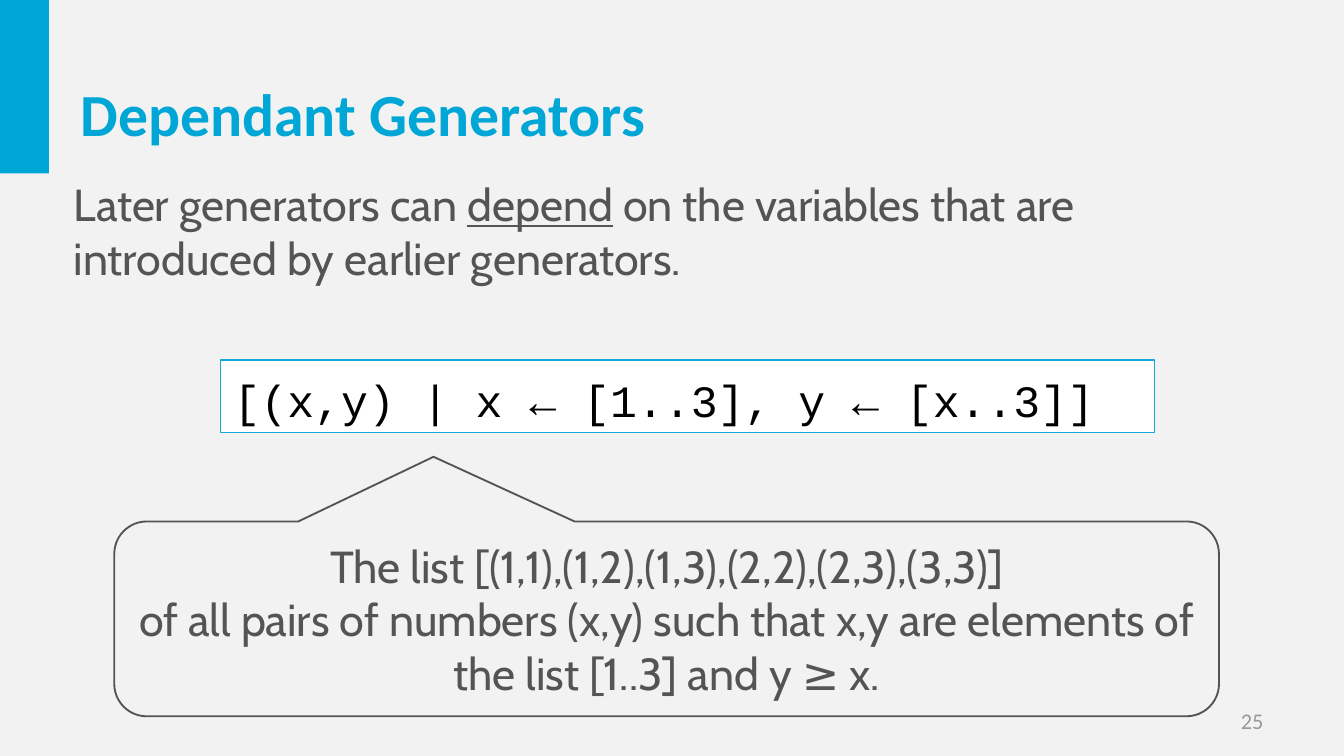
import dataclasses

import pptx
import pptx.dml.color
import pptx.enum.shapes
import pptx.enum.text
import pptx.util

SHAPES = pptx.enum.shapes.MSO_SHAPE
ALIGN = pptx.enum.text.PP_ALIGN
WIDTH = pptx.util.Inches(10)
HEIGHT = pptx.util.Inches(5.625)
CELL = WIDTH / 100


@dataclasses.dataclass(frozen=True)
class Theme:
    paper: str = "F2F2F2"
    accent: str = "00A6D6"
    code_edge: str = "15A8DB"
    code_fill: str = "FFFFFF"
    code_ink: str = "000000"
    ink: str = "545454"
    faint: str = "999999"
    heading: str = "Calibri"
    body: str = "Cabin"
    mono: str = "Courier New"
    title_size: int = 32
    body_size: int = 24
    number_size: int = 12


THEME = Theme()


def rgb(value):
    return pptx.dml.color.RGBColor.from_string(value)


def place(box, column=0, row=0, columns=None, rows=None):
    left, top, width, height = box
    return (left + column, top + row,
            width if columns is None else columns,
            height if rows is None else rows)


def emu(box):
    return [round(length * CELL) for length in box]


def write(holder, paragraphs, font=THEME.body, size=THEME.body_size,
          color=THEME.ink, bold=False, align=ALIGN.LEFT, spacing=None):
    frame = holder.text_frame
    frame.word_wrap = True
    frame.vertical_anchor = pptx.enum.text.MSO_ANCHOR.MIDDLE
    for index, runs in enumerate(paragraphs):
        paragraph = frame.paragraphs[0] if index == 0 else frame.add_paragraph()
        paragraph.alignment = align
        if spacing:
            paragraph.line_spacing = spacing
        for words, underlined in runs:
            run = paragraph.add_run()
            run.text = words
            run.font.name = font
            run.font.size = pptx.util.Pt(size)
            run.font.color.rgb = rgb(color)
            run.font.bold = bold
            run.font.underline = underlined


def plain(*lines):
    return [[(line, False)] for line in lines]


def textbox(slide, box, paragraphs, **style):
    write(slide.shapes.add_textbox(*emu(box)), paragraphs, **style)


def panel(slide, kind, box, fill=None, edge=None, weight=1):
    shape = slide.shapes.add_shape(kind, *emu(box))
    shape.shadow.inherit = False
    if fill:
        shape.fill.solid()
        shape.fill.fore_color.rgb = rgb(fill)
    else:
        shape.fill.background()
    if edge:
        shape.line.color.rgb = rgb(edge)
        shape.line.width = pptx.util.Pt(weight)
    else:
        shape.line.fill.background()
    return shape


def heading(slide, box, title):
    panel(slide, SHAPES.RECTANGLE, place(box, columns=3.65, rows=12.9),
          fill=THEME.accent)
    textbox(slide, place(box, 5, 2.3, 90, 12.2), plain(title),
            font=THEME.heading, size=THEME.title_size,
            color=THEME.accent, bold=True)


def example(slide, box, code, meaning):
    listing = panel(slide, SHAPES.RECTANGLE, place(box, 7.9, 0, 69.5, 5.4),
                    THEME.code_fill, THEME.code_edge, 0.75)
    write(listing, plain(code), font=THEME.mono, color=THEME.code_ink,
          spacing=1.1)
    callout = panel(slide, SHAPES.ROUNDED_RECTANGULAR_CALLOUT,
                    place(box, 0, 12, 82.2, 14.5), edge=THEME.ink)
    for index, share in enumerate((-0.211, -0.832, 0.167)):
        callout.adjustments[index] = share
    write(callout, plain(*meaning), align=ALIGN.CENTER)


def generators_slide(deck):
    slide = deck.slides.add_slide(deck.slide_layouts[6])
    slide.background.fill.solid()
    slide.background.fill.fore_color.rgb = rgb(THEME.paper)
    page = (0, 0, 100, HEIGHT / CELL)
    heading(slide, place(page, rows=14.5), "Dependant Generators")
    textbox(slide, place(page, 4.5, 12.6, 88.6, 9.1), [[
        ("Later generators can ", False),
        ("depend", True),
        (" on the variables that are introduced by earlier generators.", False),
    ]])
    example(slide, place(page, 8.5, 26.8, 82.2, 26.5),
            "[(x,y) | x ← [1..3], y ← [x..3]]",
            ("The list [(1,1),(1,2),(1,3),(2,2),(2,3),(3,3)]",
             "of all pairs of numbers (x,y) such that x,y are elements of "
             "the list [1..3] and y ≥ x."))
    textbox(slide, place(page, 71.7, 52.1, 23.3, 3), plain("25"),
            font=THEME.heading, size=THEME.number_size,
            color=THEME.faint, align=ALIGN.RIGHT)


deck = pptx.Presentation()
deck.slide_width = WIDTH
deck.slide_height = HEIGHT
generators_slide(deck)
deck.save("out.pptx")
